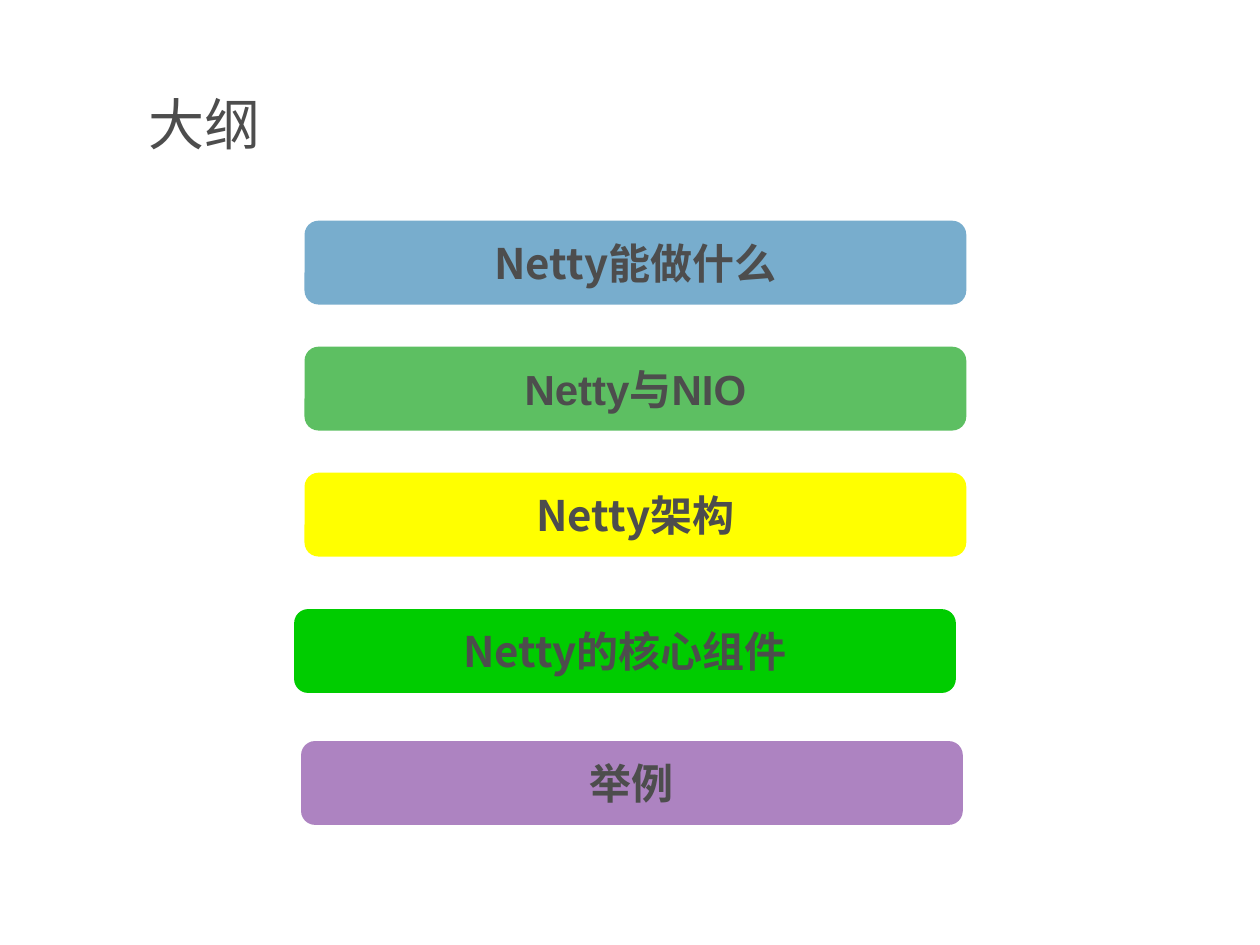
from pptx import Presentation
from pptx.dml.color import RGBColor
from pptx.enum.shapes import MSO_SHAPE
from pptx.enum.text import MSO_ANCHOR, PP_ALIGN
from pptx.oxml.ns import qn
from pptx.util import Cm, Pt
from lxml.etree import SubElement

COLORS = {
    "text": "4D4D4D",
    "blue": "78ADCD",
    "green": "5DBF62",
    "yellow": "FFFF00",
    "bright green": "00CC00",
    "purple": "AD83C1",
}
CJK_FONT = "Noto Sans CJK SC"


def write(frame, text, size, latin_font=CJK_FONT, bold=False):
    """Fill the frame with one run, setting its Latin and East Asian fonts."""
    frame.text = text
    frame.vertical_anchor = MSO_ANCHOR.MIDDLE
    run = frame.paragraphs[0].runs[0]
    run.font.size = Pt(size)
    run.font.bold = bold
    run.font.color.rgb = RGBColor.from_string(COLORS["text"])
    run.font.name = latin_font
    SubElement(run.font._element, qn("a:ea"), typeface=CJK_FONT)


prs = Presentation()
prs.slide_width, prs.slide_height = Cm(25.4), Cm(19.05)
slide = prs.slides.add_slide(prs.slide_layouts[6])

heading = slide.shapes.add_textbox(Cm(2.74), Cm(1.27), Cm(20.32), Cm(2.41))
heading.text_frame.word_wrap = True
write(heading.text_frame, "大纲", 32)

# text, fill, left, top, Latin font
topics = [
    ("Netty能做什么", "blue", 6.14, 4.45, CJK_FONT),
    ("Netty与NIO", "green", 6.14, 6.99, "Arial"),
    ("Netty架构", "yellow", 6.14, 9.53, CJK_FONT),
    ("Netty的核心组件", "bright green", 5.93, 12.28, CJK_FONT),
    ("举例", "purple", 6.07, 14.94, CJK_FONT),
]
for text, fill, left, top, latin_font in topics:
    bar = slide.shapes.add_shape(
        MSO_SHAPE.ROUNDED_RECTANGLE, Cm(left), Cm(top), Cm(13.34), Cm(1.69))
    bar.shadow.inherit = False
    bar.fill.solid()
    bar.fill.fore_color.rgb = RGBColor.from_string(COLORS[fill])
    bar.line.fill.background()
    bar.text_frame.word_wrap = False
    write(bar.text_frame, text, 24, latin_font, bold=True)
    bar.text_frame.paragraphs[0].alignment = PP_ALIGN.CENTER

prs.save("out.pptx")
